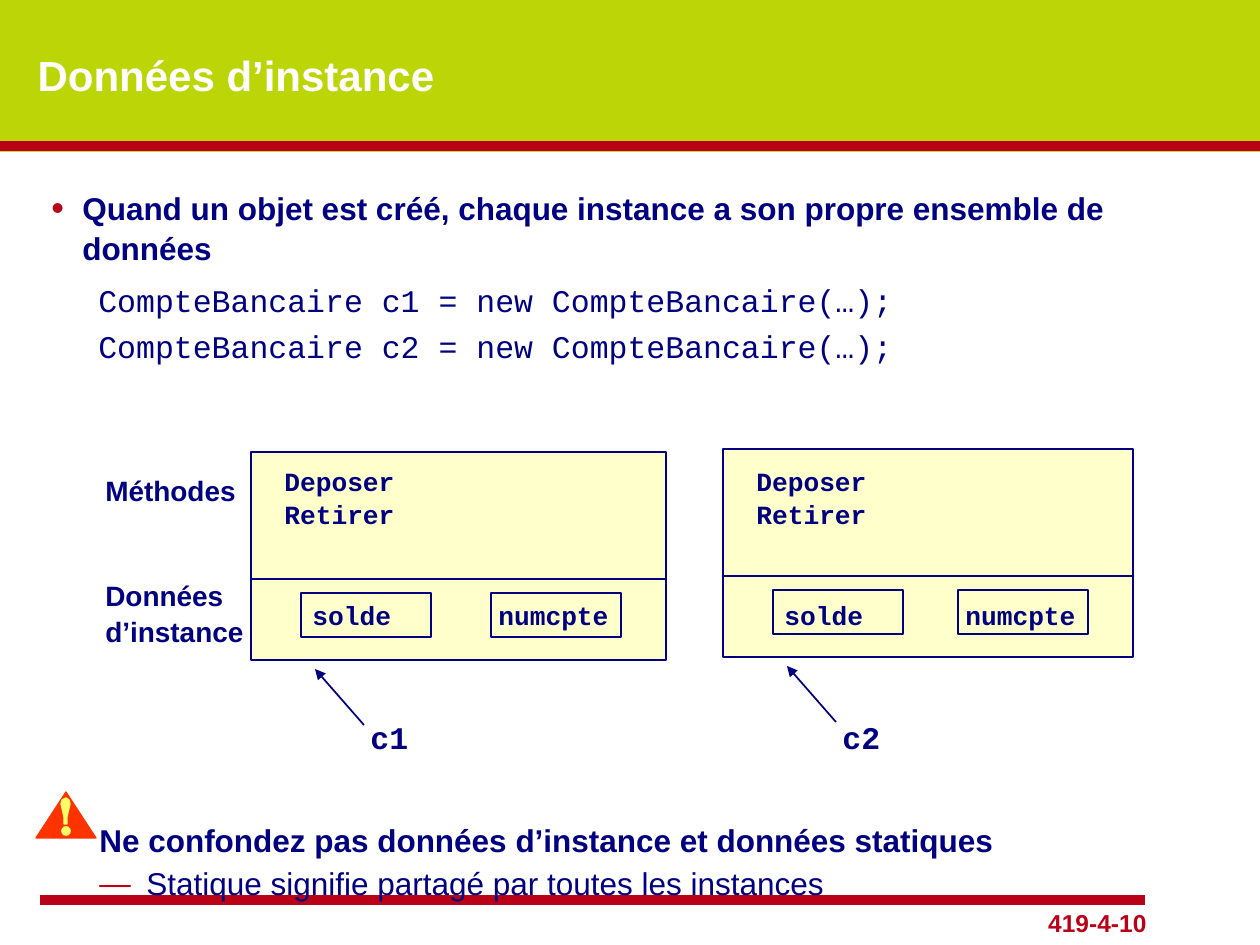
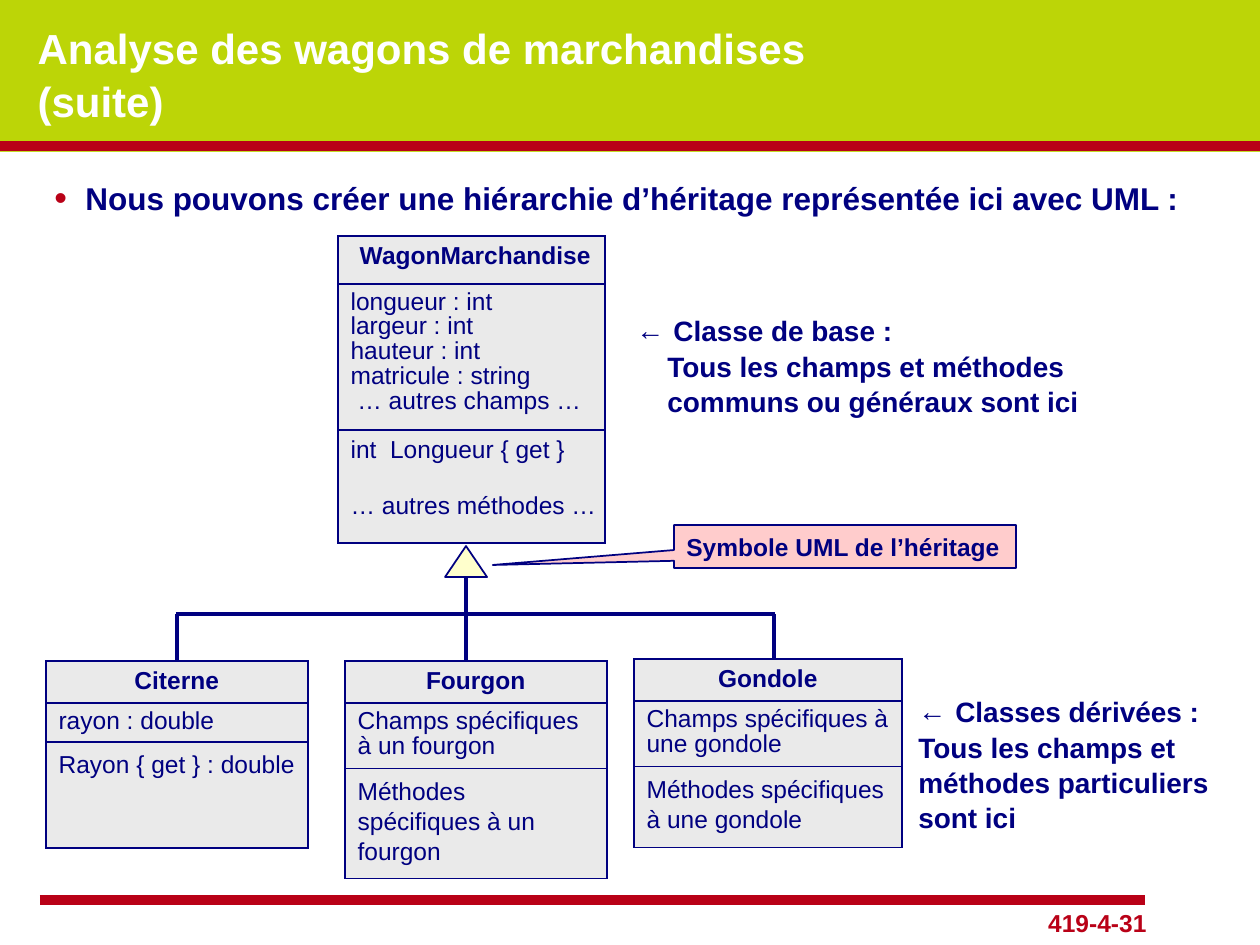
from lxml.etree import SubElement
from pptx import Presentation
from pptx.dml.color import RGBColor
from pptx.enum.shapes import MSO_CONNECTOR, MSO_SHAPE as SHAPE
from pptx.enum.text import MSO_ANCHOR as ANCHOR, MSO_AUTO_SIZE, PP_ALIGN as ALIGN
from pptx.oxml.ns import qn
from pptx.util import Emu, Pt

SCALE = 914400 / 126  # EMU per px
COLORS = {
    "green": "BCD507", "red": "B90117", "navy": "000080", "white": "FFFFFF",
    "black": "000000", "cream": "FFFFCC", "gray": "EAEAEA", "pink": "FFCCCC",
    "orange": "FF3300", "yellow": "FFFF66",
}
FORMATS = {
    "title": dict(name="Arial", size=Pt(24), bold=True),
    "body": dict(name="Arial", size=Pt(18), bold=True),
    "detail": dict(name="Arial", size=Pt(18), bold=False),
    "code": dict(name="Courier New", size=Pt(18), bold=False),
    "ref": dict(name="Courier New", size=Pt(18), bold=True),
    "member": dict(name="Courier New", size=Pt(15), bold=True),
    "label": dict(name="Arial", size=Pt(16), bold=True),
    "small": dict(name="Arial", size=Pt(14), bold=True),
    "cell": dict(name="Arial", size=Pt(14), bold=False),
}


def px(n):
    return Emu(round(n * SCALE))


def rgb(color):
    return RGBColor.from_string(COLORS[color])


def add_color(parent, color):
    fill = SubElement(parent, qn("a:solidFill"))
    SubElement(fill, qn("a:srgbClr"), val=COLORS[color])


class Deck:
    def __init__(self):
        self.prs = Presentation()
        self.prs.slide_width, self.prs.slide_height = px(1260), px(945)
        fill = self.prs.slide_master.background.fill
        fill.solid()
        fill.fore_color.rgb = rgb("green")
        self.slide = None

    def new_slide(self, title, number):
        """Start a slide with the shared band, rules, title and page number."""
        self.slide = self.prs.slides.add_slide(self.prs.slide_layouts[5])
        self.shape(SHAPE.RECTANGLE, 0, 152, 1260, 793, "white", None)
        self.line(40, 900, 1145, 900, "red", 6)
        self.line(0, 146, 1260, 146, "red", 6)
        self.text(960, 900, 199, 41, [number], "small", color="red", align=ALIGN.RIGHT)

        sp = self.slide.shapes.title
        sp.left, sp.top, sp.width, sp.height = map(px, (25, 23, 1074, 100))
        tf = sp.text_frame
        tf.auto_size = MSO_AUTO_SIZE.NONE
        tf.vertical_anchor = ANCHOR.MIDDLE
        self.fill_text(tf, title, "title", color="white", align=ALIGN.LEFT)
        for p in tf.paragraphs:
            self.text_shadow(p.runs[0])

    def text_shadow(self, r):
        rPr = r.font._element
        effects = SubElement(rPr, qn("a:effectLst"))
        shadow = SubElement(effects, qn("a:outerShdw"), dist="35921", dir="2700000")
        SubElement(shadow, qn("a:srgbClr"), val=COLORS["black"])
        rPr.find(qn("a:solidFill")).addnext(effects)

    def fill_text(self, tf, items, fmt, color="navy", align=ALIGN.LEFT, spacing=1.05):
        """Each item is a string, or a string with its paragraph options."""
        for i, item in enumerate(items):
            text, opts = item if isinstance(item, tuple) else (item, {})
            p = tf.paragraphs[0] if i == 0 else tf.add_paragraph()
            values = dict(alignment=align, line_spacing=spacing,
                          space_before=Pt(opts.get("before", 0)),
                          space_after=Pt(opts.get("after", 0)))
            for name, value in values.items():
                setattr(p, name, value)
            r = p.add_run()
            r.text = text
            r.font.color.rgb = rgb(color)
            for name, value in FORMATS[opts.get("fmt", fmt)].items():
                setattr(r.font, name, value)
            self.indent(p, opts)

    def indent(self, p, opts):
        pPr = p._p.get_or_add_pPr()
        left = opts.get("left", 0)
        pPr.set("marL", str(px(left)))
        if "bullet" not in opts:
            pPr.set("indent", "0")
            return
        pPr.set("indent", str(-px(left)))
        if "bullet_color" in opts:
            clr = SubElement(pPr, qn("a:buClr"))
            SubElement(clr, qn("a:srgbClr"), val=COLORS[opts["bullet_color"]])
        SubElement(pPr, qn("a:buSzPct"), val=str(opts.get("bullet_size", 100) * 1000))
        SubElement(pPr, qn("a:buFont"), typeface="Arial")
        SubElement(pPr, qn("a:buChar"), char=opts["bullet"])

    def text(self, x, y, w, h, items, fmt, **style):
        sp = self.slide.shapes.add_textbox(*map(px, (x, y, w, h)))
        sp.text_frame.word_wrap = True
        self.fill_text(sp.text_frame, items, fmt, **style)

    def paint(self, sp, fill, line, width=1):
        sp.shadow.inherit = False
        sp.fill.solid()
        sp.fill.fore_color.rgb = rgb(fill)
        if line:
            sp.line.color.rgb = rgb(line)
            sp.line.width = Pt(width)
        else:
            sp.line.fill.background()

    def shape(self, kind, x, y, w, h, fill, line="navy"):
        sp = self.slide.shapes.add_shape(kind, *map(px, (x, y, w, h)))
        self.paint(sp, fill, line)
        return sp

    def polygon(self, points, color):
        builder = self.slide.shapes.build_freeform(*points[0], scale=SCALE)
        builder.add_line_segments(points[1:], close=True)
        self.paint(builder.convert_to_shape(), color, color, 0.75)

    def line(self, x1, y1, x2, y2, color="navy", width=1, arrow=False):
        cn = self.slide.shapes.add_connector(
            MSO_CONNECTOR.STRAIGHT, *map(px, (x1, y1, x2, y2)))
        cn.line.color.rgb = rgb(color)
        cn.line.width = Pt(width)
        if arrow:
            SubElement(cn.line._get_or_add_ln(), qn("a:tailEnd"), type="triangle")
        SubElement(cn._element.spPr, qn("a:effectLst"))

    def uml_class(self, x, y, w, heights, name, fields, methods,
                  right=13, method_spacing=1.1):
        """Three-row table: class name, fields, methods."""
        frame = self.slide.shapes.add_table(3, 1, *map(px, (x, y, w, sum(heights))))
        table = frame.table
        table.first_row = table.horz_banding = False
        rows = (
            ([name], "small", ALIGN.CENTER, 1.0),
            (fields, "cell", ALIGN.LEFT, 0.9),
            (methods, "cell", ALIGN.LEFT, method_spacing),
        )
        for i, (items, fmt, align, spacing) in enumerate(rows):
            table.rows[i].height = px(heights[i])
            cell = table.cell(i, 0)
            cell.margin_right = px(right)
            tcPr = cell._tc.get_or_add_tcPr()
            for side in ("lnL", "lnR", "lnT", "lnB"):
                add_color(SubElement(tcPr, qn("a:" + side), w=str(Pt(1))), "navy")
            cell.fill.solid()
            cell.fill.fore_color.rgb = rgb("gray")
            self.fill_text(cell.text_frame, items, fmt, align=align, spacing=spacing)


def bank_object(deck, x, y, w, ref):
    """One account instance: methods above, its own data below."""
    deck.shape(SHAPE.RECTANGLE, x, y, w, 127, "cream")
    deck.shape(SHAPE.RECTANGLE, x, y + 127, w, 81, "cream")
    first, second = x + 50, x + w - 175
    for left in (first, second):
        deck.shape(SHAPE.RECTANGLE, left, y + 141, 130, 44, "cream")
    deck.text(x + 21, 457, 189, 107, ["Deposer", "Retirer"], "member")
    deck.text(first - 1, 592, 147, 44, ["solde"], "member")
    deck.text(second - 5, 592, 150, 44, ["numcpte"], "member")
    deck.line(x + 113, y + 273, x + 64, y + 217, arrow=True)
    deck.text(x + 107, 710, 63, 50, [ref], "ref")


def instance_data(deck):
    deck.new_slide(["Données d’instance"], "419-4-10")
    code = dict(fmt="code", left=47, before=4)
    deck.text(39, 181, 1184, 176, [
        ("Quand un objet est créé, chaque instance a son propre ensemble de données",
         dict(bullet="•", bullet_color="red", bullet_size=115, left=31, after=3)),
        ("CompteBancaire c1 = new CompteBancaire(…);", code),
        ("CompteBancaire c2 = new CompteBancaire(…);", code),
    ], "body")

    # Two objects and their row labels
    bank_object(deck, 251, 452, 415, "c1")
    bank_object(deck, 723, 449, 410, "c2")
    deck.text(93, 466, 179, 47, ["Méthodes"], "label")
    deck.text(93, 571, 179, 81, ["Données d’instance"], "label")

    # Warning sign and advice
    deck.polygon([(66, 792), (96, 838), (36, 838)], "orange")
    deck.polygon([(67, 824), (64, 824), (64, 817), (61, 804), (62, 800),
                  (66, 798), (69, 800), (70, 804), (67, 817)], "yellow")
    deck.shape(SHAPE.OVAL, 62, 827, 8, 8, "yellow", "yellow")
    deck.text(87, 813, 1136, 92, [
        "Ne confondez pas données d’instance et données statiques",
        ("Statique signifie partagé par toutes les instances",
         dict(fmt="detail", bullet="—", bullet_color="red", left=47, before=2)),
    ], "body")


def wagon_hierarchy(deck):
    deck.new_slide(["Analyse des wagons de marchandises", "(suite)"], "419-4-31")
    deck.text(42, 171, 1173, 50, [
        ("Nous pouvons créer une hiérarchie d’héritage représentée ici avec UML :",
         dict(bullet="•", bullet_color="red", bullet_size=115, left=31)),
    ], "body")

    # Inheritance tree
    for x in (177, 774):
        deck.line(x, 614, x, 660, width=2)
    deck.line(176, 614, 775, 614, width=2.25)
    deck.line(466, 578, 466, 661, width=2.25)
    deck.shape(SHAPE.ISOSCELES_TRIANGLE, 445, 546, 42, 31, "cream")

    # Base class and derived classes
    deck.uml_class(338, 236, 267, (48, 146, 113), "WagonMarchandise",
                   ["longueur : int", "largeur : int", "hauteur : int",
                    "matricule : string", " … autres champs …"],
                   ["int  Longueur { get }", ("… autres méthodes …", dict(before=16))],
                   right=5, method_spacing=1.0)
    deck.uml_class(46, 661, 262, (42, 39, 106), "Citerne",
                   ["rayon : double"], ["Rayon { get } : double"])
    deck.uml_class(345, 661, 262, (40, 62, 103), "Fourgon",
                   ["Champs spécifiques à un fourgon"],
                   ["Méthodes spécifiques à un fourgon"])
    deck.uml_class(634, 659, 268, (40, 62, 81), "Gondole",
                   ["Champs spécifiques à une gondole"],
                   ["Méthodes spécifiques à une gondole"])

    # Callout and side notes
    sp = deck.shape(SHAPE.RECTANGULAR_CALLOUT, 674, 525, 342, 43, "pink")
    sp.adjustments[0], sp.adjustments[1] = -1.03, 0.43
    sp.text_frame.vertical_anchor = ANCHOR.MIDDLE
    deck.fill_text(sp.text_frame, ["Symbole UML de l’héritage"], "small", spacing=1.0)
    arrow = dict(bullet="←", left=37)
    deck.text(624, 306, 485, 113, [
        ("Classe de base :", arrow),
        ("Tous les champs et méthodes communs ou généraux sont ici", dict(left=31)),
    ], "label")
    deck.text(906, 687, 338, 147, [
        ("Classes dérivées :", arrow),
        "Tous les champs et méthodes particuliers sont ici",
    ], "label")


def main():
    deck = Deck()
    instance_data(deck)
    wagon_hierarchy(deck)
    deck.prs.save("out.pptx")


if __name__ == "__main__":
    main()
